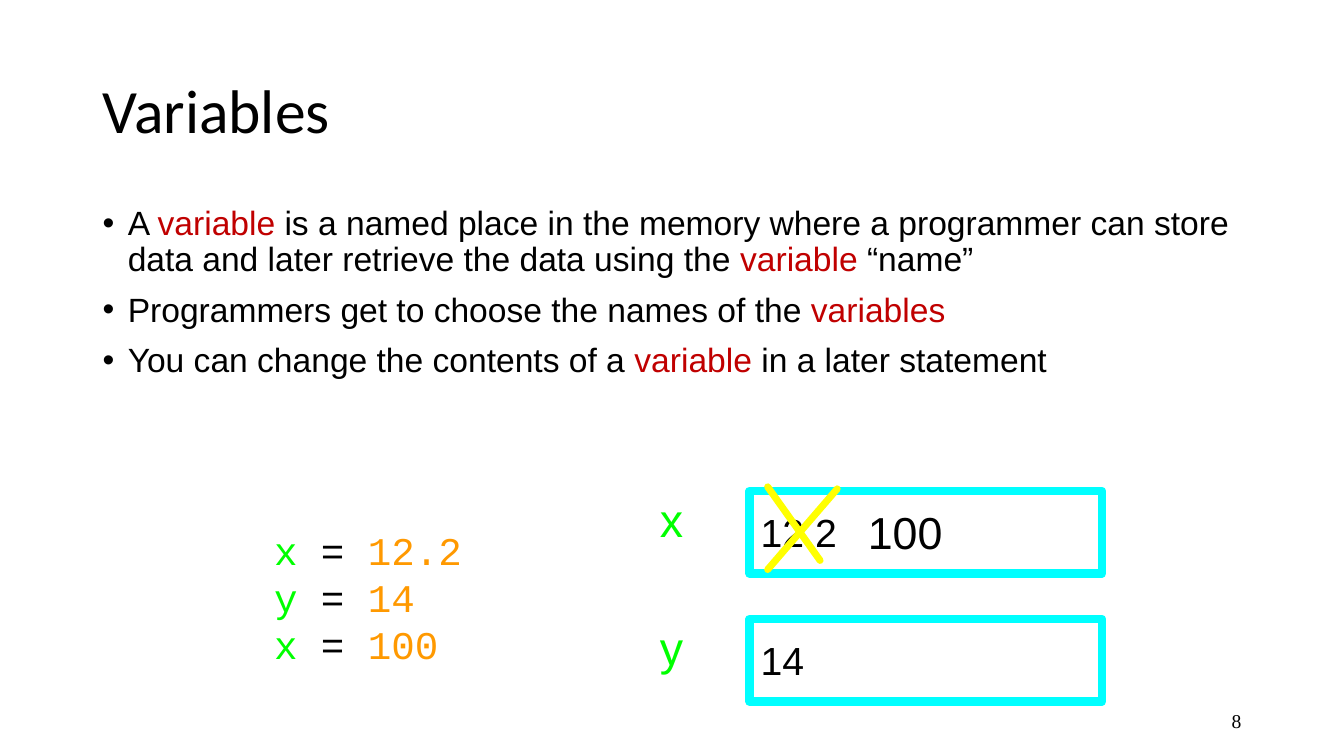
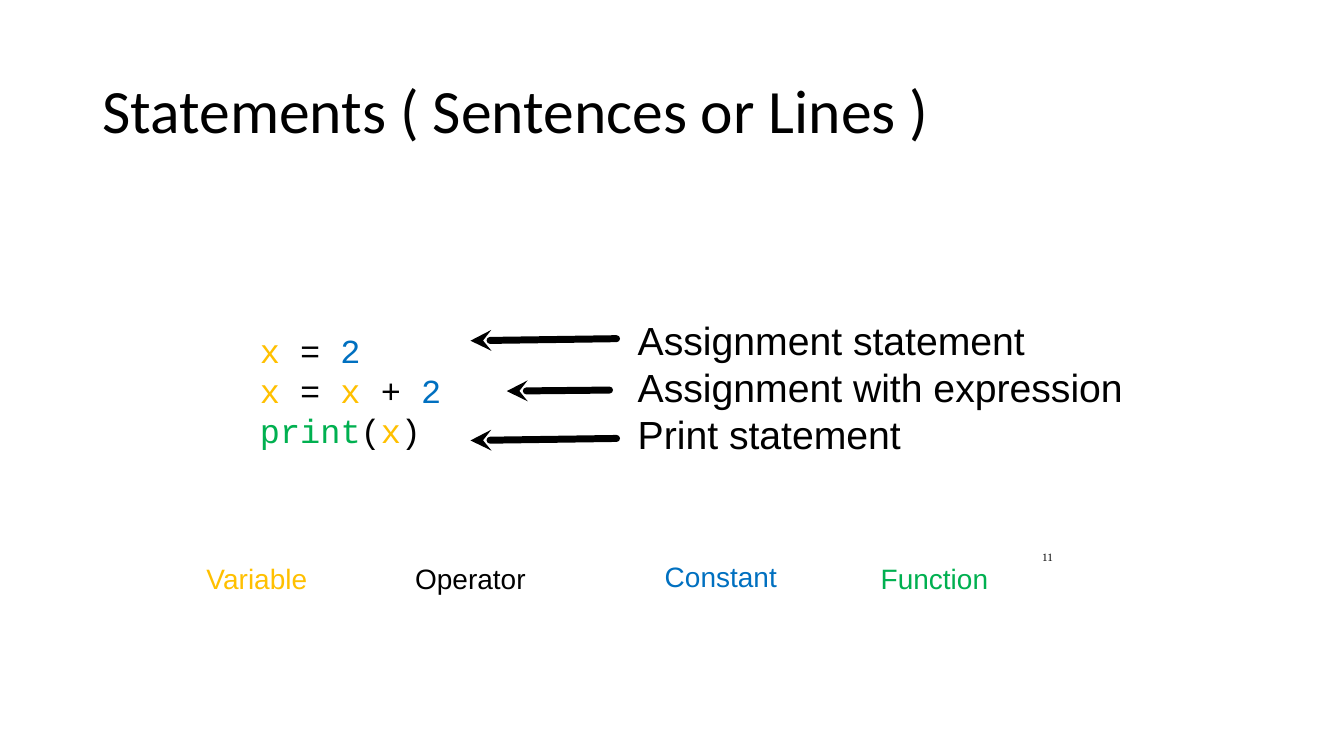
"""Build two slides on variables and statements."""
from lxml import etree
from pptx import Presentation
from pptx.dml.color import RGBColor
from pptx.enum import shapes, text
from pptx.oxml.ns import qn
from pptx.util import Inches, Pt

THEME = {
    "color": {"ink": "000000", "accent": "C00000", "name": "00FF00", "value": "FF9900",
              "box": "00FFFF", "cross": "FFFF00", "variable": "FFC000",
              "constant": "0070C0", "function": "00B050"},
    "type": {"title": ("Calibri", 44), "body": ("Arial", 24), "label": ("Arial", 28),
             "cell_name": ("Arial", 33.3), "new_value": ("Arial", 32), "legend": ("Arial", 20),
             "assignments": ("Courier New", 28), "program": ("Courier New", 24),
             "number": ("Times New Roman", 14), "small_number": ("Times New Roman", 8)},
}
LEFT, CENTER, RIGHT = (text.PP_ALIGN.LEFT, text.PP_ALIGN.CENTER, text.PP_ALIGN.RIGHT)
MIDDLE, TOP = text.MSO_ANCHOR.MIDDLE, text.MSO_ANCHOR.TOP
PAD = (0.1, 0.05)
TITLE_AT = (0.92, 0.4, 11.5, 1.45)

BULLETS = [
    [("A ", "ink"), ("variable", "accent"),
     (" is a named place in the memory where a programmer can store data"
      " and later retrieve the data using the ", "ink"),
     ("variable", "accent"), (" “name”", "ink")],
    [("Programmers get to choose the names of the ", "ink"), ("variables", "accent")],
    [("You can change the contents of a ", "ink"), ("variable", "accent"),
     (" in a later statement", "ink")],
]
ASSIGNMENTS = [("x", "12.2"), ("y", "14"), ("x", "100")]
CELLS = [("x", "12.2"), ("y", "14")]
CELL_TOP, CELL_STEP = 4.87, 1.27
CROSS = [((8.31, 4.85), (7.62, 5.65)), ((7.62, 4.83), (8.14, 5.56))]

PROGRAM = [
    [("x", "variable"), (" = ", "ink"), ("2", "constant")],
    [("x", "variable"), (" = ", "ink"), ("x", "variable"), (" + ", "ink"), ("2", "constant")],
    [("print", "function"), ("(", "ink"), ("x", "variable"), (")", "ink")],
]
MEANINGS = ["Assignment statement", "Assignment with expression", "Print statement"]
ARROWS = [((4.67, 3.38), (6.12, 3.36)), ((5.03, 3.88), (6.05, 3.87)),
          ((4.67, 4.37), (6.12, 4.35))]
LEGEND = [("Variable", "variable", (1.27, 5.34, 2.56, 0.79)),
          ("Operator", "ink", (3.47, 5.34, 2.4, 0.79)),
          ("Constant", "constant", (5.81, 5.32, 2.69, 0.79)),
          ("Function", "function", (7.63, 5.34, 3.29, 0.79))]


def rgb(name):
    return RGBColor.from_string(THEME["color"][name])


def plain(*lines, color="ink"):
    return [[(line, color)] for line in lines]


def add_bullet(p):
    pPr = p._p.get_or_add_pPr()
    pPr.set("marL", str(Inches(0.25)))
    pPr.set("indent", str(Inches(-0.25)))
    etree.SubElement(pPr, qn("a:buFont")).set("typeface", "Arial")
    etree.SubElement(pPr, qn("a:buChar")).set("char", "•")


def write(sp, paragraphs, style, align=LEFT, anchor=MIDDLE, pad=(0, 0), spacing=None,
          bullets=False):
    tf = sp.text_frame
    x, y = (Inches(v) for v in pad)
    frame = {"word_wrap": True, "vertical_anchor": anchor, "margin_left": x,
             "margin_right": x, "margin_top": y, "margin_bottom": y}
    for key, value in frame.items():
        setattr(tf, key, value)
    font, size = THEME["type"][style]
    for i, runs in enumerate(paragraphs):
        p = tf.add_paragraph() if i else tf.paragraphs[0]
        if bullets:
            add_bullet(p)
            if i:
                p.space_before = Pt(10)
        p.alignment = align
        if spacing:
            p.line_spacing = spacing
        for content, color in runs:
            r = p.add_run()
            r.text = content
            for key, value in {"name": font, "size": Pt(size)}.items():
                setattr(r.font, key, value)
            r.font.color.rgb = rgb(color)


def add_text(slide, at, paragraphs, style, **options):
    sp = slide.shapes.add_textbox(*map(Inches, at))
    write(sp, paragraphs, style, **options)


def set_line(sp, color, width):
    sp.line.color.rgb = rgb(color)
    sp.line.width = Pt(width)
    ln = sp.element.spPr.find(qn("a:ln"))
    ln.set("cap", "rnd")
    etree.SubElement(ln, qn("a:round"))
    return ln


def add_line(slide, start, end, color, arrow=False):
    c = slide.shapes.add_connector(shapes.MSO_CONNECTOR.STRAIGHT,
                                   *map(Inches, (*start, *end)))
    ln = set_line(c, color, 5)
    if arrow:
        etree.SubElement(ln, qn("a:headEnd")).set("type", "stealth")
    etree.SubElement(c.element.spPr, qn("a:effectLst"))


def add_cell(slide, top, name, value):
    sp = slide.shapes.add_shape(shapes.MSO_SHAPE.RECTANGLE,
                                *map(Inches, (7.44, top, 3.5, 0.82)))
    sp.shadow.inherit = False
    sp.fill.background()
    set_line(sp, "box", 6)
    write(sp, plain(value), "label", pad=(0.11, 0))
    add_text(slide, (6.51, top + 0.03, 0.31, 0.56), plain(name, color="name"), "cell_name",
             align=CENTER, spacing=0.9)


def add_slide(prs, title, number, number_at, number_style):
    slide = prs.slides.add_slide(prs.slide_layouts[6])
    add_text(slide, TITLE_AT, plain(title), "title", pad=PAD, spacing=0.9)
    add_text(slide, number_at, plain(number), number_style, align=RIGHT, pad=PAD)
    return slide


def variables_slide(prs):
    slide = add_slide(prs, "Variables", "8", (9.42, 6.95, 3, 0.4), "number")
    add_text(slide, (0.92, 2, 11.5, 2.5), BULLETS, "body", anchor=TOP, pad=PAD,
             spacing=0.9, bullets=True)
    for i, (name, value) in enumerate(CELLS):
        add_cell(slide, CELL_TOP + i * CELL_STEP, name, value)
    lines = [[(name + " ", "name"), ("= ", "ink"), (value, "value")]
             for name, value in ASSIGNMENTS]
    add_text(slide, (2.72, 4.84, 3.5, 2.17), lines, "assignments")
    for start, end in CROSS:
        add_line(slide, start, end, "cross")
    add_text(slide, (8.07, 4.76, 1.83, 1.03), plain("100"), "new_value", align=CENTER)


def statements_slide(prs):
    slide = add_slide(prs, "Statements ( Sentences or Lines )", "11",
                      (8.47, 5.28, 2.08, 0.5), "small_number")
    add_text(slide, (2.58, 2.94, 2.56, 1.86), PROGRAM, "program")
    add_text(slide, (6.33, 2.92, 4.95, 1.83), plain(*MEANINGS), "label")
    for word, color, at in LEGEND:
        add_text(slide, at, plain(word, color=color), "legend", align=CENTER)
    for start, end in ARROWS:
        add_line(slide, start, end, "ink", arrow=True)


def main():
    prs = Presentation()
    prs.slide_width, prs.slide_height = Inches(13.34), Inches(7.5)
    variables_slide(prs)
    statements_slide(prs)
    prs.save("out.pptx")


if __name__ == "__main__":
    main()
